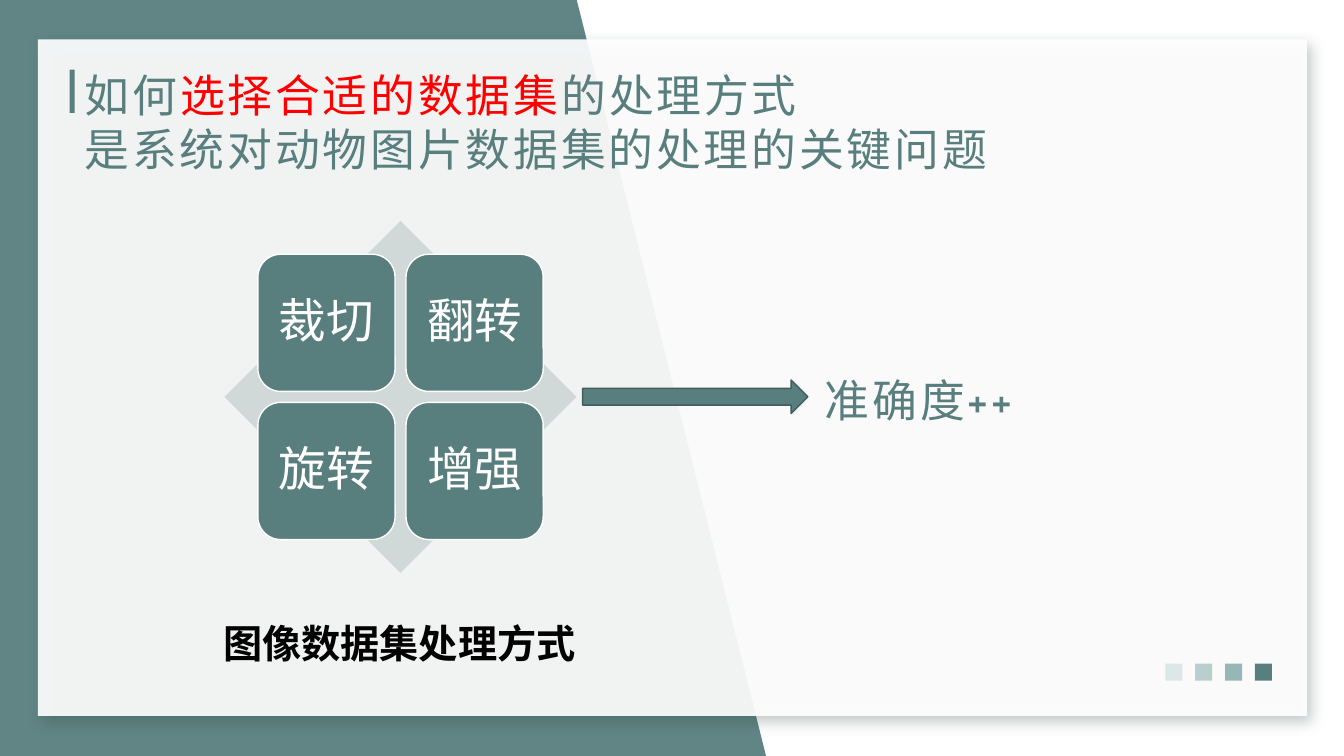
from pptx import Presentation
from pptx.dml.color import RGBColor
from pptx.enum import shapes, text
from pptx.oxml import parse_xml
from pptx.oxml.ns import nsdecls, qn
from pptx.util import Pt

COLORS = {
    "teal": "587F7E", "edge": "415E5D", "mid": "96B7B6", "soft": "B9CFCE",
    "pale": "DCE7E7", "diamond": "D1D8D8", "white": "FFFFFF",
    "black": "000000", "accent": "FF0000", "shade": "2C403F",
}
KINDS = shapes.MSO_SHAPE
HEADING = {"size": Pt(32), "name": "Cabin"}
TILE = {"size": Pt(34), "name": "Roboto"}
CAPTION = {"size": Pt(28), "name": "Roboto", "bold": True}
FRAME = {"word_wrap": True, "margin_left": Pt(7.2), "margin_right": Pt(7.2),
         "margin_top": Pt(3.6), "margin_bottom": Pt(3.6)}


def set_all(target, values):
    for key, value in values.items():
        setattr(target, key, value)


def rgb(color):
    return RGBColor.from_string(COLORS[color])


def paint(shape, fill, line=None, opacity=100):
    shape.shadow.inherit = False
    shape.fill.solid()
    shape.fill.fore_color.rgb = rgb(fill)
    if opacity < 100:
        tint = shape.fill._xPr.find(qn("a:solidFill"))[0]
        tint.append(parse_xml(f'<a:alpha {nsdecls("a")} val="{opacity * 1000}"/>'))
    if line:
        shape.line.color.rgb = rgb(line)
        shape.line.width = Pt(1)
    else:
        shape.line.fill.background()


def add_block(slide, kind, box, fill, line=None, opacity=100):
    block = slide.shapes.add_shape(kind, *map(Pt, box))
    paint(block, fill, line, opacity)
    return block


def add_run(paragraph, wording, style, color, spacing=0):
    run = paragraph.add_run()
    run.text = wording
    set_all(run.font, style)
    run.font.color.rgb = rgb(color)
    if spacing:
        run.font._element.set("spc", str(spacing * 100))


def add_label(slide, box, lines, style, spacing=0):
    """Lines are lists of (wording, color) pieces in one paragraph."""
    frame = slide.shapes.add_textbox(*map(Pt, box)).text_frame
    set_all(frame, FRAME)
    paragraph = frame.paragraphs[0]
    for index, pieces in enumerate(lines):
        if index:
            paragraph.add_line_break()
        for wording, color in pieces:
            add_run(paragraph, wording, style, color, spacing)


def draw_backdrop(slide, box):
    left, top, width, height = box
    # Slanted teal side
    builder = slide.shapes.build_freeform(Pt(left), Pt(top))
    corners = [(left + 412, top), (left + 547.2, top + height), (left, top + height)]
    builder.add_line_segments([(Pt(x), Pt(y)) for x, y in corners])
    paint(builder.convert_to_shape(), "teal", opacity=95)
    # Translucent card with a soft shadow
    card = add_block(slide, KINDS.RECTANGLE,
                     (left + 27, top + 28.2, width - 53.5, height - 56.9),
                     "white", opacity=92)
    effects = card._element.spPr.find(qn("a:effectLst"))
    effects.append(parse_xml(
        f'<a:outerShdw {nsdecls("a")} blurRad="{Pt(10)}" dist="{Pt(6)}" '
        f'dir="2700000" algn="tl" rotWithShape="0"><a:srgbClr val="{COLORS["shade"]}">'
        '<a:alpha val="30000"/></a:srgbClr></a:outerShdw>'))


def draw_corner_squares(slide, box):
    left, top, width, side = box
    shades = ("pale", "soft", "mid", "teal")
    pitch = (width - side) / (len(shades) - 1)
    for index, shade in enumerate(shades):
        add_block(slide, KINDS.RECTANGLE, (left + index * pitch, top, side, side), shade)


def draw_heading(slide, box):
    left, top, width, height = box
    add_block(slide, KINDS.RECTANGLE, (left, top + 5, 3.6, 31), "teal")
    add_label(slide, (left + 3.6, top, width - 3.6, height), [
        [("如何", "teal"), ("选择合适的数据集", "accent"), ("的处理方式", "teal")],
        [("是系统对动物图片数据集的处理的关键问题", "teal")],
    ], HEADING, spacing=2)


def draw_methods(slide, box):
    left, top, width, height = box
    add_block(slide, KINDS.DIAMOND, box, "diamond")
    # Two by two tiles centred on the diamond
    side, gap = 98, 7.8
    margin = (width - 2 * side - gap) / 2
    for index, method in enumerate(("裁切", "翻转", "旋转", "增强")):
        row, column = divmod(index, 2)
        tile = add_block(slide, KINDS.ROUNDED_RECTANGLE,
                         (left + margin + column * (side + gap),
                          top + margin + row * (side + gap), side, side),
                         "teal", "white")
        set_all(tile.text_frame, {**FRAME, "word_wrap": False,
                                  "vertical_anchor": text.MSO_ANCHOR.MIDDLE})
        paragraph = tile.text_frame.paragraphs[0]
        set_all(paragraph, {"alignment": text.PP_ALIGN.CENTER, "line_spacing": 0.9})
        add_run(paragraph, method, TILE, "white")
    # Caption below
    add_label(slide, (left - 8, top + height + 29.8, 266.4, 41),
              [[("图像数据集处理方式", "black")]], CAPTION)


def draw_outcome(slide, box):
    left, top, width, height = box
    arrow_width = 160.9
    add_block(slide, KINDS.RIGHT_ARROW, (left, top + 9, arrow_width, 24),
              "teal", "edge")
    add_label(slide, (left + arrow_width + 5, top, width - arrow_width - 5, height),
              [[("准确度++", "teal")]], HEADING, spacing=2)


def main():
    deck = Presentation()
    set_all(deck, {"slide_width": Pt(960), "slide_height": Pt(540)})
    slide = deck.slides.add_slide(deck.slide_layouts[6])
    draw_backdrop(slide, (0, 0, 960, 540))
    draw_corner_squares(slide, (832.4, 474, 76.2, 12.2))
    draw_heading(slide, (49.8, 44.7, 851.5, 434))
    draw_methods(slide, (160.4, 157.8, 251.4, 251.4))
    draw_outcome(slide, (416.2, 262.4, 447, 46))
    deck.save("out.pptx")


if __name__ == "__main__":
    main()
